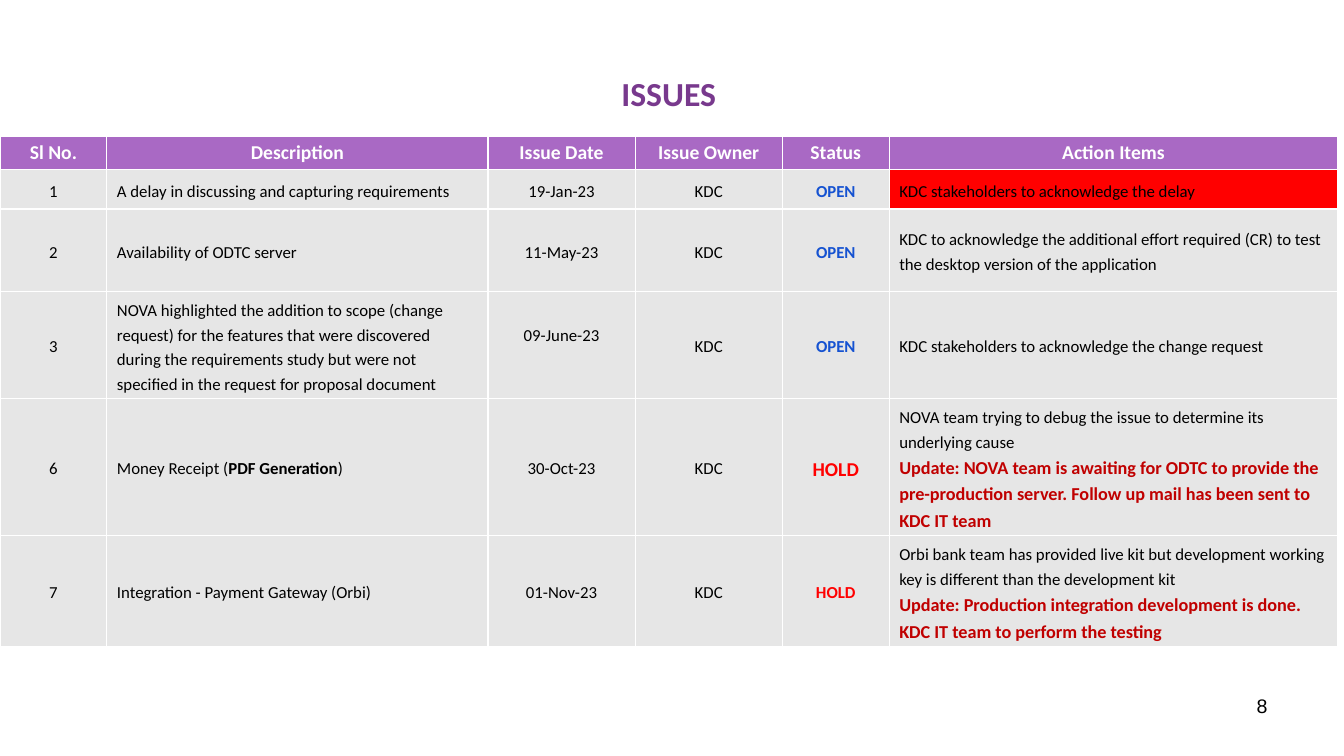
"""Build the project issues slide with its status table."""
from lxml.etree import SubElement
from pptx import Presentation
from pptx.dml.color import RGBColor
from pptx.enum.text import MSO_ANCHOR, PP_ALIGN
from pptx.oxml.ns import qn
from pptx.util import Inches, Pt


def style(run, size, color, bold=False, font="Calibri"):
    run.font.name = font
    run.font.size = Pt(size)
    run.font.bold = bold
    run.font.color.rgb = RGBColor.from_string(color)


def border(cell):
    props = cell._tc.get_or_add_tcPr()
    for at, side in enumerate(("lnL", "lnR", "lnT", "lnB")):
        line = SubElement(props, qn("a:" + side), w=str(Pt(1)))
        fill = SubElement(line, qn("a:solidFill"))
        SubElement(fill, qn("a:srgbClr"), val="FFFFFF")
        props.insert(at, line)


deck = Presentation()
deck.slide_width, deck.slide_height = Inches(13.33), Inches(7.5)
slide = deck.slides.add_slide(deck.slide_layouts[6])

labels = [
    ("ISSUES ", (0.67, 0.3, 12, 1.25), PP_ALIGN.CENTER, MSO_ANCHOR.MIDDLE, (24, "78398D", True)),
    ("8", (9.56, 6.83, 3.11, 0.52), PP_ALIGN.RIGHT, MSO_ANCHOR.TOP, (14, "000000", False, "Arial")),
]
for text, place, align, anchor, look in labels:
    frame = slide.shapes.add_textbox(*map(Inches, place)).text_frame
    frame.word_wrap = True
    frame.vertical_anchor = anchor
    frame.text = text
    frame.paragraphs[0].alignment = align
    style(frame.paragraphs[0].runs[0], *look)

heads = ["Sl No.", "Description", "Issue Date", "Issue Owner", "Status", "Action Items"]
issues = [
    ["1", "A delay in discussing and capturing requirements", "19-Jan-23", "KDC", "OPEN",
     "KDC stakeholders to acknowledge the delay"],
    ["2", "Availability of ODTC server", "11-May-23", "KDC", "OPEN",
     "KDC to acknowledge the additional effort required (CR) to test "
     "the desktop version of the application"],
    ["3", "NOVA highlighted the addition to scope (change request) for the features "
     "that were discovered during the requirements study but were not "
     "specified in the request for proposal document", "09-June-23", "KDC", "OPEN",
     "KDC stakeholders to acknowledge the change request"],
    ["6", "Money Receipt (*PDF Generation*)", "30-Oct-23", "KDC", "HOLD",
     "NOVA team trying to debug the issue to determine its underlying cause\n"
     "Update: NOVA team is awaiting for ODTC to provide the pre-production server. "
     "Follow up mail has been sent to KDC IT team"],
    ["7", "Integration - Payment Gateway (Orbi)", "01-Nov-23", "KDC", "HOLD",
     "Orbi bank team has provided live kit but development working "
     "key is different than the development kit\n"
     "Update: Production integration development is done. KDC IT team to perform the testing"],
]
widths = [1.06, 3.78, 1.46, 1.46, 1.06, 4.45]
heights = [0.33, 0.39, 0.82, 1.06, 1.36, 1.1]
states = {"OPEN": "1552D1", "HOLD": "FF0000"}

grid = slide.shapes.add_table(len(heights), len(widths), Inches(0), Inches(1.35),
                              Inches(sum(widths)), Inches(sum(heights))).table
for col, width in zip(grid.columns, widths):
    col.width = Inches(width)
for row, height in zip(grid.rows, heights):
    row.height = Inches(height)

for r, texts in enumerate([heads] + issues):
    for c, text in enumerate(texts):
        cell = grid.cell(r, c)
        cell.fill.solid()
        cell.fill.fore_color.rgb = RGBColor.from_string("E6E6E6" if r else "A969C4")
        border(cell)
        if r:
            cell.vertical_anchor = MSO_ANCHOR.MIDDLE
        frame = cell.text_frame
        frame.text = text.replace("*", "")
        for para in frame.paragraphs:
            if r == 0 or c not in (1, 5):
                para.alignment = PP_ALIGN.CENTER
            if r:
                para.line_spacing = 1.2
            run = para.runs[0]
            if r == 0:
                style(run, 14, "FFFFFF", True)
            elif text in states:
                style(run, 12, states[text], True)
            elif run.text.startswith("Update:"):
                style(run, 13, "C00000", True)
            elif "*" in text:
                para.clear()
                for n, part in enumerate(text.split("*")):
                    run = para.add_run()
                    run.text = part
                    style(run, 12, "000000", n == 1)
            else:
                style(run, 12, "000000")

alert = grid.cell(1, 5)
alert.fill.fore_color.rgb = RGBColor.from_string("FF0000")
grid.cell(3, 2).margin_bottom = Inches(0.27)
hold = grid.cell(4, 4).text_frame.paragraphs[0].runs[0]
hold.font.size = Pt(14)

deck.save("out.pptx")
